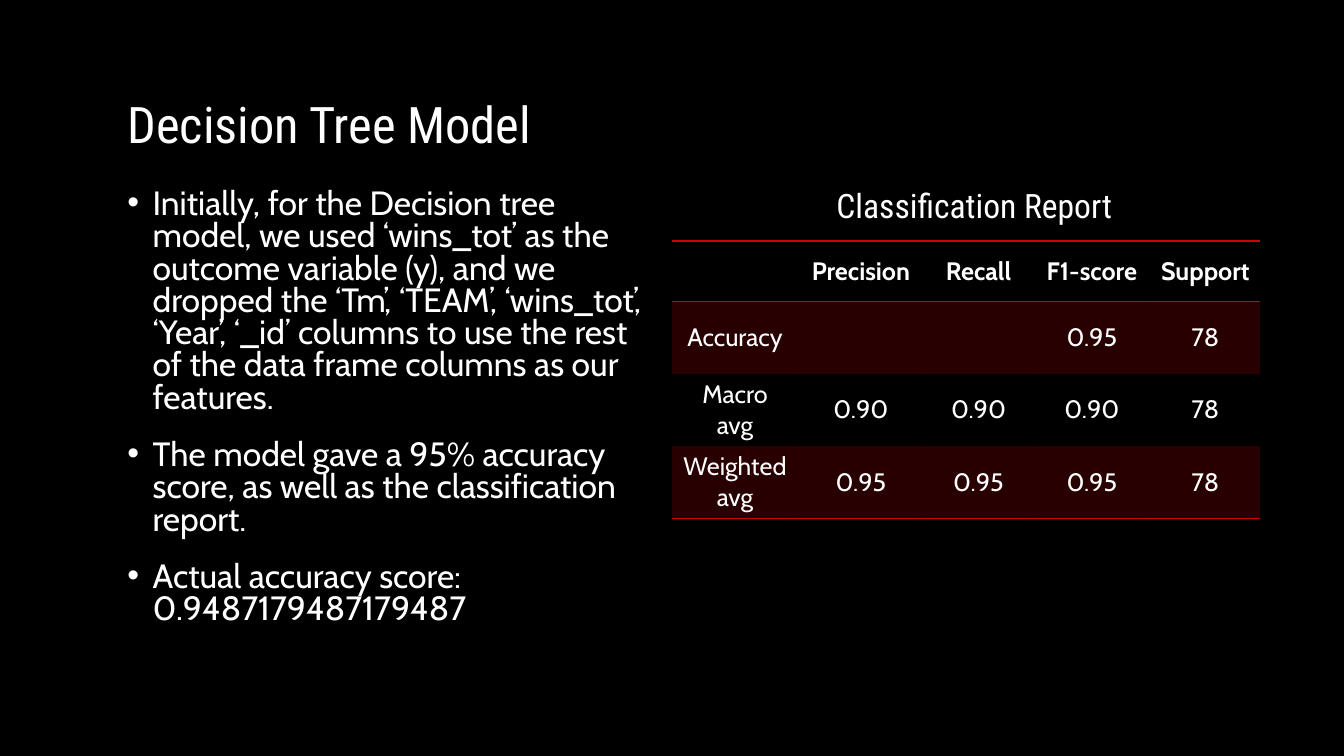
from dataclasses import dataclass

from lxml import etree
from pptx import Presentation
from pptx.dml.color import RGBColor
from pptx.enum.text import MSO_ANCHOR, PP_ALIGN
from pptx.oxml.ns import qn
from pptx.slide import Slide
from pptx.table import _Cell
from pptx.text.text import TextFrame, _Paragraph
from pptx.util import Emu, Inches, Pt

LEFT, CENTER = PP_ALIGN.LEFT, PP_ALIGN.CENTER
TOP, MIDDLE, BOTTOM = MSO_ANCHOR.TOP, MSO_ANCHOR.MIDDLE, MSO_ANCHOR.BOTTOM

GRID_COLUMNS, GRID_ROWS = 160, 90
UNIT = Inches(7.5) // GRID_ROWS
COLORS = {"background": "000000", "text": "FFFFFF", "accent": "CD0205"}
HEADING_FONT, BODY_FONT = "Roboto Condensed", "Cabin"
NO_GRID_STYLE = "{2D5ABB26-0587-4C30-8999-92F81FD0307C}"
BAND_ALPHA = "20000"


@dataclass(frozen=True)
class Area:
    column: float
    row: float
    columns: float
    rows: float

    def box(self) -> tuple[Emu, Emu, Emu, Emu]:
        return (span(self.column), span(self.row), span(self.columns), span(self.rows))


@dataclass(frozen=True)
class TextBlock:
    area: Area
    paragraphs: tuple[str, ...]
    font: str
    size: int
    align: PP_ALIGN = LEFT
    anchor: MSO_ANCHOR = TOP
    line_spacing: float = 1.0
    bulleted: bool = False


@dataclass(frozen=True)
class ReportRow:
    values: tuple[str, ...]
    rows: float
    header: bool = False
    banded: bool = False
    borders: tuple[str, ...] = ()


TEXT_BLOCKS = (
    TextBlock(Area(14, 4, 132, 15), ("Decision Tree Model",), HEADING_FONT, 36,
              anchor=BOTTOM, line_spacing=0.9),
    TextBlock(
        Area(14, 22, 63.6, 57),
        (
            "Initially, for the Decision tree model, we used ‘wins_tot’ as the outcome "
            "variable (y), and we dropped the ‘Tm’, ‘TEAM’, ‘wins_tot’, ‘Year’, ‘_id’ "
            "columns to use the rest of the data frame columns as our features.",
            "The model gave a 95% accuracy score, as well as the classification report.",
            "Actual accuracy score: 0.9487179487179487",
        ),
        BODY_FONT, 24, line_spacing=0.8, bulleted=True,
    ),
    TextBlock(Area(95.6, 21.4, 40.8, 6), ("Classification Report",), HEADING_FONT, 24,
              align=CENTER),
)

REPORT_COLUMNS = (15, 15, 13, 14, 13)
REPORT_ROWS = (
    ReportRow(("", "Precision", "Recall", "F1-score", "Support"), 7.2,
              header=True, borders=("lnT", "lnB")),
    ReportRow(("Accuracy", "", "", "0.95", "78"), 8.6, banded=True),
    ReportRow(("Macro avg", "0.90", "0.90", "0.90", "78"), 8.6),
    ReportRow(("Weighted avg", "0.95", "0.95", "0.95", "78"), 8.6,
              banded=True, borders=("lnB",)),
)
REPORT_AREA = Area(80, 28.7, sum(REPORT_COLUMNS), sum(row.rows for row in REPORT_ROWS))


def span(units: float) -> Emu:
    return Emu(round(units * UNIT))


def color(name: str) -> RGBColor:
    return RGBColor.from_string(COLORS[name])


def style_font(paragraph: _Paragraph, name: str, size: int, bold: bool = False) -> None:
    font = paragraph.font
    font.name, font.size, font.bold = name, Pt(size), bold
    font.color.rgb = color("text")


def add_bullet(paragraph: _Paragraph) -> None:
    properties = paragraph._p.get_or_add_pPr()
    properties.set("marL", str(Inches(0.25)))
    properties.set("indent", str(-Inches(0.25)))
    etree.SubElement(properties, qn("a:buFont"), typeface="Arial")
    etree.SubElement(properties, qn("a:buChar"), char="•")


def fill_frame(frame: TextFrame, block: TextBlock) -> None:
    frame.word_wrap = True
    frame.vertical_anchor = block.anchor
    for index, text in enumerate(block.paragraphs):
        paragraph = frame.add_paragraph() if index else frame.paragraphs[0]
        paragraph.text = text
        paragraph.alignment = block.align
        paragraph.line_spacing = block.line_spacing
        if index:
            paragraph.space_before = Pt(18)
        if block.bulleted:
            add_bullet(paragraph)
        style_font(paragraph, block.font, block.size)


def add_border(cell: _Cell, edge: str, position: int) -> None:
    line = etree.Element(qn(f"a:{edge}"), w=str(Pt(1)))
    solid = etree.SubElement(line, qn("a:solidFill"))
    etree.SubElement(solid, qn("a:srgbClr"), val=COLORS["accent"])
    cell._tc.get_or_add_tcPr().insert(position, line)


def fill_cell(cell: _Cell, text: str, row: ReportRow) -> None:
    cell.vertical_anchor = MIDDLE
    if row.banded:
        cell.fill.solid()
        cell.fill.fore_color.rgb = color("accent")
        tint = cell._tc.tcPr.find(f".//{qn('a:srgbClr')}")
        etree.SubElement(tint, qn("a:alpha"), val=BAND_ALPHA)
    else:
        cell.fill.background()
    for position, edge in enumerate(row.borders):
        add_border(cell, edge, position)
    paragraph = cell.text_frame.paragraphs[0]
    paragraph.text = text
    paragraph.alignment = CENTER
    style_font(paragraph, BODY_FONT, 18, row.header)


def add_report(slide: Slide) -> None:
    report = slide.shapes.add_table(
        len(REPORT_ROWS), len(REPORT_COLUMNS), *REPORT_AREA.box()
    ).table
    report.first_row = report.horz_banding = False
    report._tbl.tblPr.find(qn("a:tableStyleId")).text = NO_GRID_STYLE
    for column, width in zip(report.columns, REPORT_COLUMNS):
        column.width = span(width)
    for table_row, row in zip(report.rows, REPORT_ROWS):
        table_row.height = span(row.rows)
        for cell, text in zip(table_row.cells, row.values):
            fill_cell(cell, text, row)


def main() -> None:
    deck = Presentation()
    deck.slide_width, deck.slide_height = span(GRID_COLUMNS), span(GRID_ROWS)
    slide = deck.slides.add_slide(deck.slide_layouts[6])
    slide.background.fill.solid()
    slide.background.fill.fore_color.rgb = color("background")
    for block in TEXT_BLOCKS:
        fill_frame(slide.shapes.add_textbox(*block.area.box()).text_frame, block)
    add_report(slide)
    deck.save("out.pptx")


if __name__ == "__main__":
    main()
